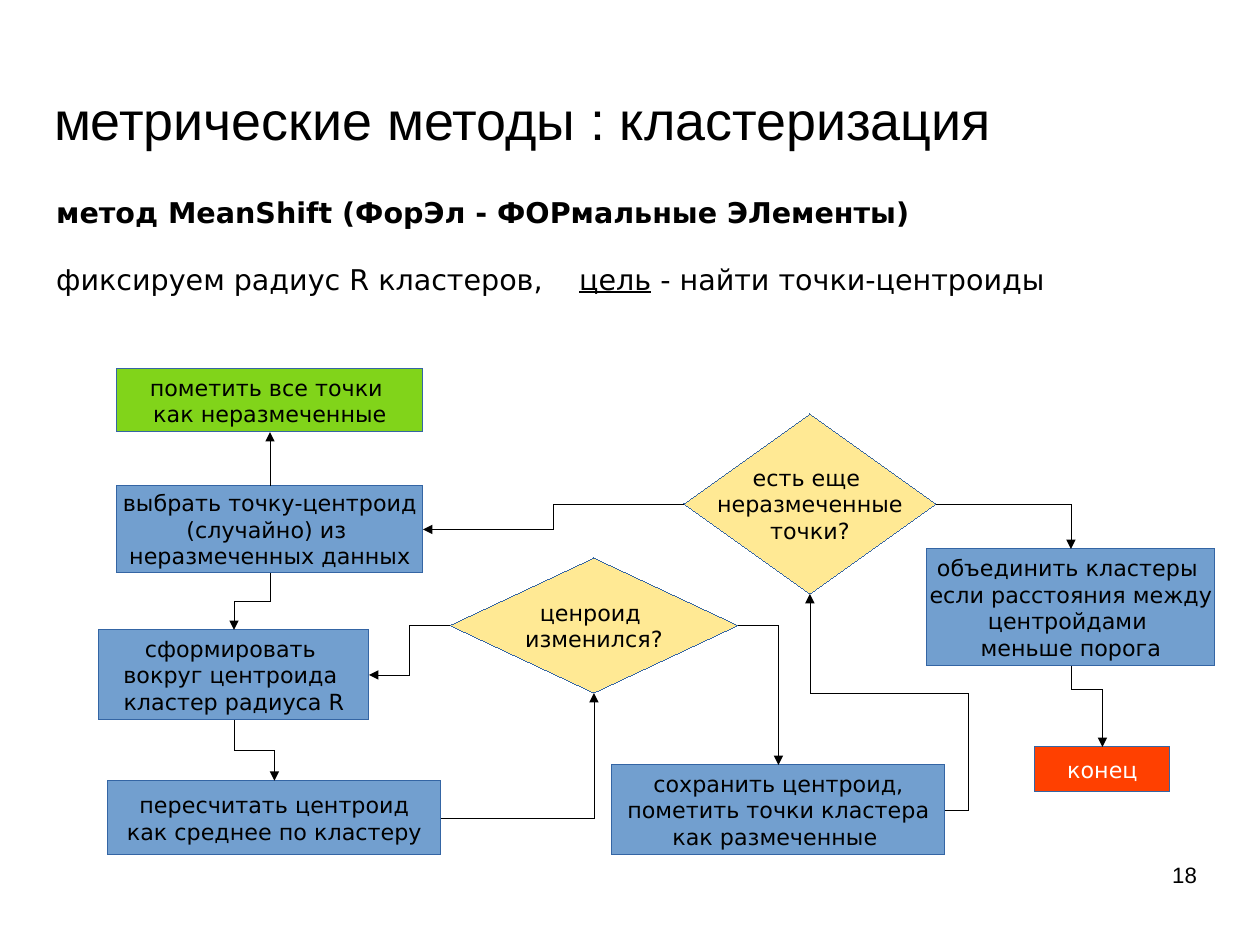
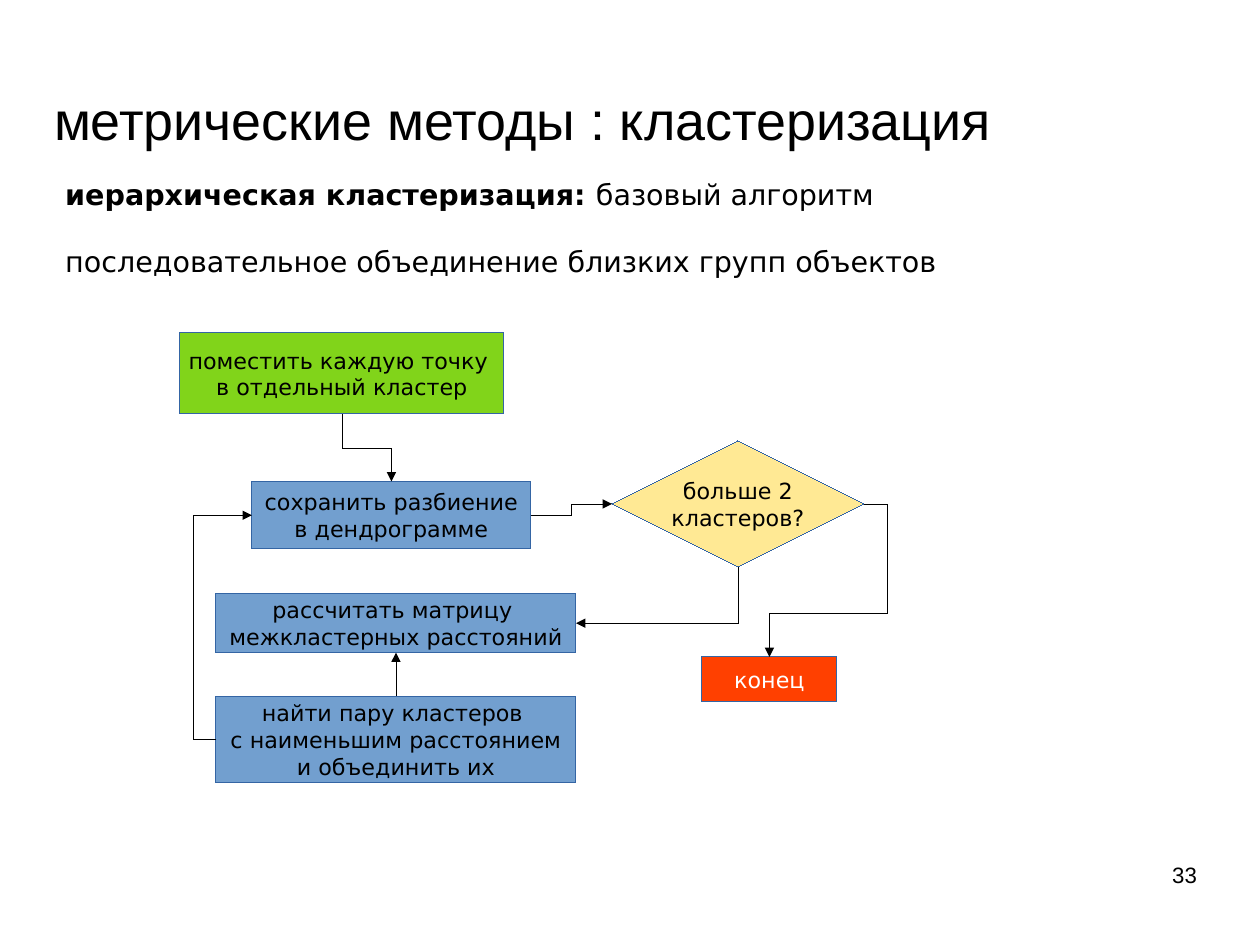
from pptx import Presentation
from pptx.dml.color import RGBColor
from pptx.enum.shapes import MSO_CONNECTOR, MSO_SHAPE
from pptx.enum.text import MSO_ANCHOR, MSO_AUTO_SIZE, PP_ALIGN
from pptx.oxml.ns import qn
from pptx.util import Emu, Pt
from lxml import etree

RECTANGLE, DIAMOND = MSO_SHAPE.RECTANGLE, MSO_SHAPE.DIAMOND
STRAIGHT, ELBOW = MSO_CONNECTOR.STRAIGHT, MSO_CONNECTOR.ELBOW
LEFT, CENTER, RIGHT = PP_ALIGN.LEFT, PP_ALIGN.CENTER, PP_ALIGN.RIGHT
MIDDLE = MSO_ANCHOR.MIDDLE
NO_AUTOSIZE = MSO_AUTO_SIZE.NONE

PX = 3600  # one px is a tenth of a millimetre
SITES = {"top": 0, "left": 1, "bottom": 2, "right": 3}
TITLE_ONLY = 5


def px(value):
    return Emu(value * PX)


def color(hex_string):
    return RGBColor.from_string(hex_string)


class Deck:
    """Shared style and the slide being built."""

    TITLE_FONT, TEXT_FONT = "Arial", "DejaVu Sans"
    BLACK, WHITE, OUTLINE = "000000", "FFFFFF", "3465A4"
    START, STEP, CHOICE, END = "81D41A", "729FCF", "FFE994", "FF4000"

    def __init__(self):
        self.presentation = Presentation()
        self.presentation.slide_width = px(2800)
        self.presentation.slide_height = px(2100)
        self.slide = None

    def new_slide(self, title, number):
        layout = self.presentation.slide_layouts[TITLE_ONLY]
        self.slide = self.presentation.slides.add_slide(layout)
        # Title
        shape = self.slide.shapes.title
        shape.left, shape.top, shape.width, shape.height = map(px, (120, 198, 2220, 135))
        frame = shape.text_frame
        self.no_margins(frame)
        frame.auto_size = NO_AUTOSIZE
        frame.vertical_anchor = MIDDLE
        frame.text = title
        self.style(frame.paragraphs[0], 33.9, LEFT, self.TITLE_FONT)
        # Slide number
        frame = self.text_box(2007, 1913, 653, 145)
        self.no_margins(frame)
        frame.text = str(number)
        self.style(frame.paragraphs[0], 14, RIGHT, self.TITLE_FONT)

    def no_margins(self, frame):
        frame.margin_left = frame.margin_right = 0
        frame.margin_top = frame.margin_bottom = 0

    def style(self, paragraph, size, alignment, font_name=TEXT_FONT, text_color=BLACK):
        paragraph.alignment = alignment
        font = paragraph.font
        font.name, font.size = font_name, Pt(size)
        font.color.rgb = color(text_color)

    def hairline(self, shape, line_color):
        """Thinnest line; a zero width has to be written out."""
        shape.line.color.rgb = color(line_color)
        line = shape.element.spPr.find(qn("a:ln"))
        line.set("w", "0")
        return line

    def text_box(self, left, top, width, height):
        box = self.slide.shapes.add_textbox(*map(px, (left, top, width, height)))
        box.text_frame.word_wrap = True
        return box.text_frame

    def intro(self, left, top, width, height, paragraphs, tab=None):
        """Each paragraph is a list of (text, emphasis) runs."""
        frame = self.text_box(left, top, width, height)
        for index, runs in enumerate(paragraphs):
            paragraph = frame.add_paragraph() if index else frame.paragraphs[0]
            if index:
                paragraph.space_before = Pt(21)
            if index and tab:
                properties = paragraph._p.get_or_add_pPr()
                tabs = etree.SubElement(properties, qn("a:tabLst"))
                etree.SubElement(tabs, qn("a:tab"), pos=str(px(tab)), algn="l")
            self.style(paragraph, 18, LEFT)
            for text, emphasis in runs:
                run = paragraph.add_run()
                run.text = text
                if emphasis == "bold":
                    run.font.bold = True
                elif emphasis == "underline":
                    run.font.underline = True

    def block(self, left, top, width, height, text, fill=STEP, kind=RECTANGLE,
              text_color=BLACK):
        shape = self.slide.shapes.add_shape(kind, *map(px, (left, top, width, height)))
        shape.shadow.inherit = False
        shape.fill.solid()
        shape.fill.fore_color.rgb = color(fill)
        self.hairline(shape, self.OUTLINE)
        frame = shape.text_frame
        frame.word_wrap = False
        frame.vertical_anchor = MIDDLE
        frame.text = text
        for paragraph in frame.paragraphs:
            self.style(paragraph, 14, CENTER, text_color=text_color)
        return shape

    def choice(self, left, top, width, height, text):
        return self.block(left, top, width, height, text, self.CHOICE, DIAMOND)

    def end(self, left, top):
        return self.block(left, top, 300, 100, "конец", self.END, text_color=self.WHITE)

    def arrow(self, source, source_side, target, target_side, bends=None):
        """bends: None is straight, else the elbow's adjustments (may be empty)."""
        kind = STRAIGHT if bends is None else ELBOW
        connector = self.slide.shapes.add_connector(kind, 0, 0, 0, 0)
        connector.begin_connect(source, SITES[source_side])
        connector.end_connect(target, SITES[target_side])
        line = self.hairline(connector, self.BLACK)
        etree.SubElement(line, qn("a:tailEnd"), type="triangle")
        etree.SubElement(connector.element.spPr, qn("a:effectLst"))
        if bends is not None:
            self.bend(connector, source_side, bends)

    def bend(self, connector, side, bends):
        """Turn the elbow so that it leaves by the given side."""
        begin_x, begin_y = connector.begin_x, connector.begin_y
        dx, dy = connector.end_x - begin_x, connector.end_y - begin_y
        width, height = abs(dx), abs(dy)
        if side == "bottom":
            width, height = height, width
            turn, flip_h, flip_v = (270, True, False) if dx > 0 else (90, False, False)
        elif side == "left":
            turn, flip_h, flip_v = 180, dx > 0, dy > 0
        else:
            turn, flip_h, flip_v = 0, dx < 0, dy < 0
        connector.left = Emu(begin_x + (dx - width) // 2)
        connector.top = Emu(begin_y + (dy - height) // 2)
        connector.width, connector.height = Emu(width), Emu(height)
        properties = connector.element.spPr
        transform = properties.find(qn("a:xfrm"))
        for name, value in (("rot", turn * 60000), ("flipH", int(flip_h)),
                            ("flipV", int(flip_v))):
            transform.set(name, str(value))
        geometry = properties.find(qn("a:prstGeom"))
        geometry.set("prst", f"bentConnector{2 + len(bends)}")
        guides = geometry.find(qn("a:avLst"))
        for index, share in enumerate(bends, 1):
            etree.SubElement(guides, qn("a:gd"), name=f"adj{index}",
                             fmla=f"val {round(share * 100000)}")


TITLE = "метрические методы : кластеризация"
HALF = (0.5,)


def mean_shift(deck):
    deck.new_slide(TITLE, 18)
    deck.intro(100, 420, 2440, 300, [
        [("метод MeanShift (ФорЭл - ФОРмальные ЭЛементы)", "bold")],
        [("фиксируем радиус R кластеров,\t", None), ("цель", "underline"),
         (" - найти точки-центроиды", None)],
    ], tab=1162)

    # Blocks
    mark_all = deck.block(260, 820, 680, 140,
                          "пометить все точки \nкак неразмеченные", deck.START)
    pick = deck.block(260, 1080, 680, 193,
                      "выбрать точку-центроид\n(случайно) из \nнеразмеченных данных")
    form = deck.block(220, 1400, 600, 200,
                      "сформировать \nвокруг центроида \nкластер радиуса R")
    recount = deck.block(240, 1735, 740, 165,
                         "пересчитать центроид\nкак среднее по кластеру")
    changed = deck.choice(1000, 1240, 640, 300, "ценроид \nизменился?")
    save = deck.block(1360, 1700, 740, 200,
                      "сохранить центроид,\nпометить точки кластера\nкак размеченные ")
    more = deck.choice(1520, 920, 560, 400, "есть еще \nнеразмеченные\nточки?")
    merge = deck.block(2060, 1220, 640, 260, "объединить кластеры \nесли расстояния между\n"
                                             "центройдами \nменьше порога")
    end = deck.end(2300, 1660)

    # Arrows
    deck.arrow(pick, "top", mark_all, "bottom")
    deck.arrow(pick, "bottom", form, "top", HALF)
    deck.arrow(form, "bottom", recount, "top", HALF)
    deck.arrow(recount, "right", changed, "bottom", ())
    deck.arrow(changed, "left", form, "right", HALF)
    deck.arrow(changed, "right", save, "top", ())
    deck.arrow(save, "right", more, "bottom", (-0.17, 0.54))
    deck.arrow(more, "left", pick, "right", HALF)
    deck.arrow(more, "right", merge, "top", ())
    deck.arrow(merge, "bottom", end, "top", (0.28,))


def hierarchical(deck):
    deck.new_slide(TITLE, 33)
    deck.intro(120, 380, 2100, 257, [
        [("иерархическая кластеризация: ", "bold"), ("базовый алгоритм", None)],
        [("последовательное объединение близких групп объектов", None)],
    ])

    # Blocks
    separate = deck.block(400, 740, 720, 180,
                          "поместить каждую точку \nв отдельный кластер", deck.START)
    save = deck.block(560, 1070, 620, 150, "сохранить разбиение\nв дендрограмме")
    matrix = deck.block(480, 1320, 800, 130,
                        "рассчитать матрицу \nмежкластерных расстояний")
    pair = deck.block(480, 1547, 800, 193,
                      "найти пару кластеров \nс наименьшим расстоянием\nи объединить их")
    enough = deck.choice(1360, 980, 560, 280, "больше 2\nкластеров?")
    end = deck.end(1560, 1460)

    # Arrows
    deck.arrow(separate, "bottom", save, "top", HALF)
    deck.arrow(save, "right", enough, "left", HALF)
    deck.arrow(enough, "bottom", matrix, "right", ())
    deck.arrow(enough, "right", end, "top", (-0.24, 0.71))
    deck.arrow(pair, "top", matrix, "bottom")
    deck.arrow(pair, "left", save, "left", (-0.63,))


def main():
    deck = Deck()
    mean_shift(deck)
    hierarchical(deck)
    deck.presentation.save("out.pptx")


if __name__ == "__main__":
    main()
